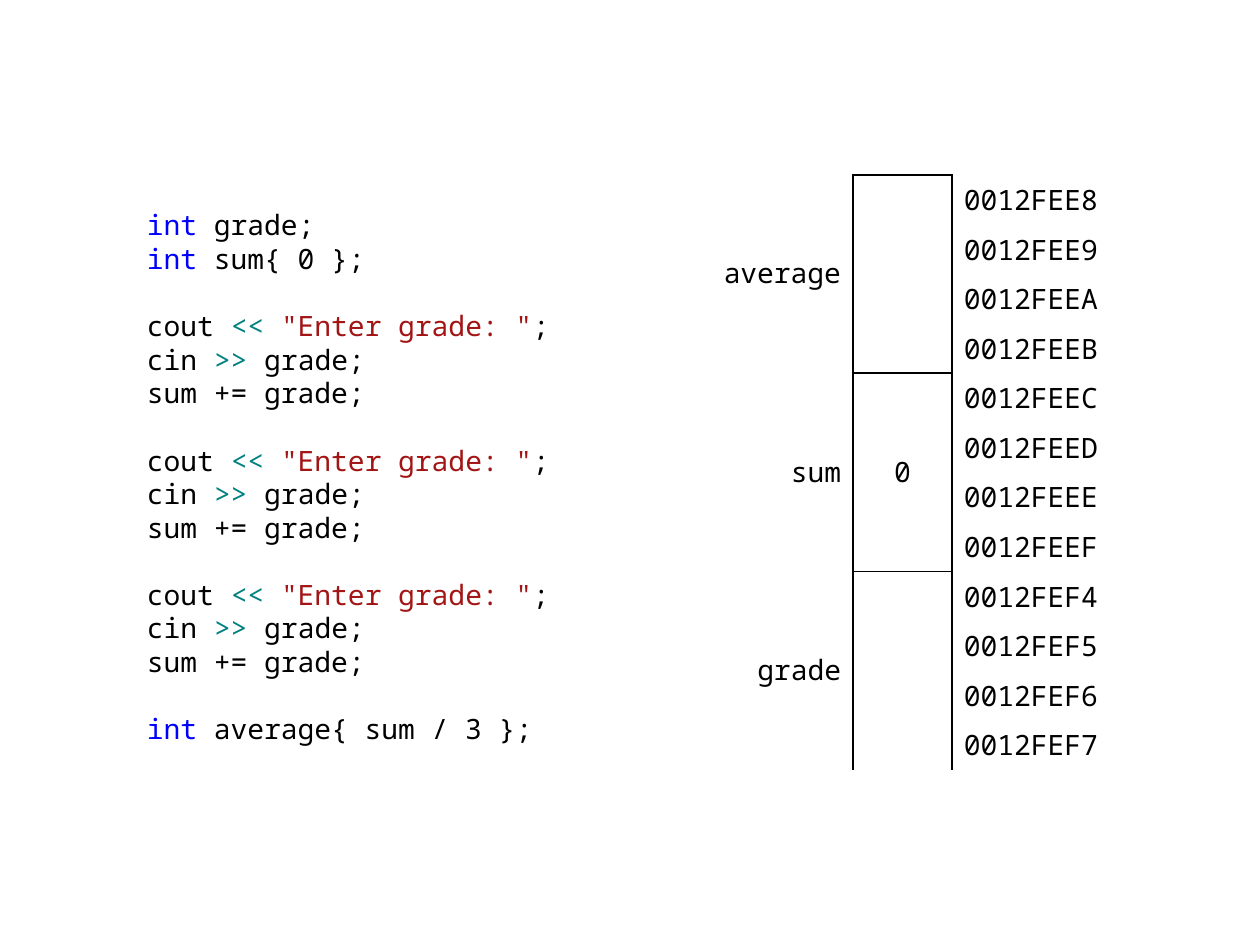
import pptx
import pptx.dml.color
import pptx.enum.text
import pptx.oxml
import pptx.oxml.ns
import pptx.util

ALIGN = pptx.enum.text.PP_ALIGN
MIDDLE = pptx.enum.text.MSO_ANCHOR.MIDDLE
THEME = {
    "font": "Noto Sans Mono",
    "size": 16,
    "leading": 19.2,
    "plain": "000000",
    "keyword": "0000FF",
    "operator": "008080",
    "string": "A31515",
    "outer": 1.5,
    "inner": 1,
}

READ_GRADE = [
    [("plain", "cout "), ("operator", "<< "), ("string", '"Enter grade: "'), ("plain", ";")],
    [("plain", "cin "), ("operator", ">>"), ("plain", " grade;")],
    [("plain", "sum += grade;")],
]
CODE_GROUPS = [
    [
        [("keyword", "int"), ("plain", " grade;")],
        [("keyword", "int"), ("plain", " sum{ 0 };")],
    ],
    *[READ_GRADE] * 3,
    [[("keyword", "int"), ("plain", " average{ sum / 3 };")]],
]
VARIABLES = [
    ("average", "", ["0012FEE8", "0012FEE9", "0012FEEA", "0012FEEB"]),
    ("sum", "0", ["0012FEEC", "0012FEED", "0012FEEE", "0012FEEF"]),
    ("grade", "", ["0012FEF4", "0012FEF5", "0012FEF6", "0012FEF7"]),
]
BYTES = 4
CODE_BOX = (134, 199, 446, 546)
TABLE_LEFT, TABLE_TOP, TABLE_HEIGHT = 704, 175, 595
COLUMN_WIDTHS = (149, 99, 174)
ALIGNMENTS = (ALIGN.RIGHT, ALIGN.CENTER, ALIGN.LEFT)


def px(length):
    return pptx.util.Emu(round(length * 914400 / 126))


def apply(target, values):
    for name, value in values.items():
        setattr(target, name, value)


def add_span(para, text, role="plain"):
    span = para.add_run()
    span.text = text
    apply(span.font, {"name": THEME["font"], "size": pptx.util.Pt(THEME["size"])})
    span.font.color.rgb = pptx.dml.color.RGBColor.from_string(THEME[role])


def add_code(page):
    frame = page.shapes.add_textbox(*map(px, CODE_BOX)).text_frame
    apply(frame, {"word_wrap": True, "margin_left": px(13), "margin_right": px(13),
                  "margin_top": px(9), "margin_bottom": 0})
    leading = pptx.util.Pt(THEME["leading"])
    para = None
    for group in CODE_GROUPS:
        for index, line in enumerate(group):
            starts_block = para is not None and index == 0
            para = frame.paragraphs[0] if para is None else frame.add_paragraph()
            apply(para, {"line_spacing": leading, "space_before": leading if starts_block else 0})
            for role, text in line:
                add_span(para, text, role)


def set_borders(cell, widths):
    properties = cell._tc.get_or_add_tcPr()
    for index, side in enumerate("LRTB"):
        width = pptx.util.Pt(widths.get(side, 0))
        paint = (f'<a:solidFill><a:srgbClr val="{THEME["plain"]}"/></a:solidFill>'
                 if width else "<a:noFill/>")
        line = f'<a:ln{side} {pptx.oxml.ns.nsdecls("a")} w="{width}">{paint}</a:ln{side}>'
        properties.insert(index, pptx.oxml.parse_xml(line))


def borders_for(row, column, last_row):
    outer, inner = THEME["outer"], THEME["inner"]
    if column == 0:
        return {"R": outer}
    if column == 2:
        return {"L": outer}
    widths = {"L": outer, "R": outer}
    if row % BYTES == 0:
        widths["T"] = outer if row == 0 else inner
    if row % BYTES == BYTES - 1:
        widths["B"] = outer if row == last_row else inner
    return widths


def fill_cell(cell, text, alignment):
    para = cell.text_frame.paragraphs[0]
    para.alignment = alignment
    if text:
        add_span(para, text)


def add_memory(page):
    row_count = BYTES * len(VARIABLES)
    table = page.shapes.add_table(
        row_count, len(COLUMN_WIDTHS), px(TABLE_LEFT), px(TABLE_TOP),
        px(sum(COLUMN_WIDTHS)), px(TABLE_HEIGHT)).table
    apply(table, {"first_row": False, "horz_banding": False})
    for column, width in zip(table.columns, COLUMN_WIDTHS):
        column.width = px(width)
    for row_index, row in enumerate(table.rows):
        row.height = px(TABLE_HEIGHT / row_count)
        for column_index, cell in enumerate(row.cells):
            apply(cell, {"vertical_anchor": MIDDLE, "margin_left": px(12), "margin_right": px(12),
                         "margin_top": px(5 if column_index == 2 else 0),
                         "margin_bottom": px(5 if column_index == 2 else 2)})
            cell.fill.background()
            set_borders(cell, borders_for(row_index, column_index, row_count - 1))
    for index, (name, value, addresses) in enumerate(VARIABLES):
        first = index * BYTES
        for column, text in enumerate((name, value)):
            cell = table.cell(first, column)
            cell.merge(table.cell(first + BYTES - 1, column))
            fill_cell(cell, text, ALIGNMENTS[column])
        for offset, address in enumerate(addresses):
            fill_cell(table.cell(first + offset, 2), address, ALIGNMENTS[2])


def main():
    deck = pptx.Presentation()
    apply(deck, {"slide_width": px(1260), "slide_height": px(945)})
    page = deck.slides.add_slide(deck.slide_layouts[6])
    add_code(page)
    add_memory(page)
    deck.save("out.pptx")


if __name__ == "__main__":
    main()
